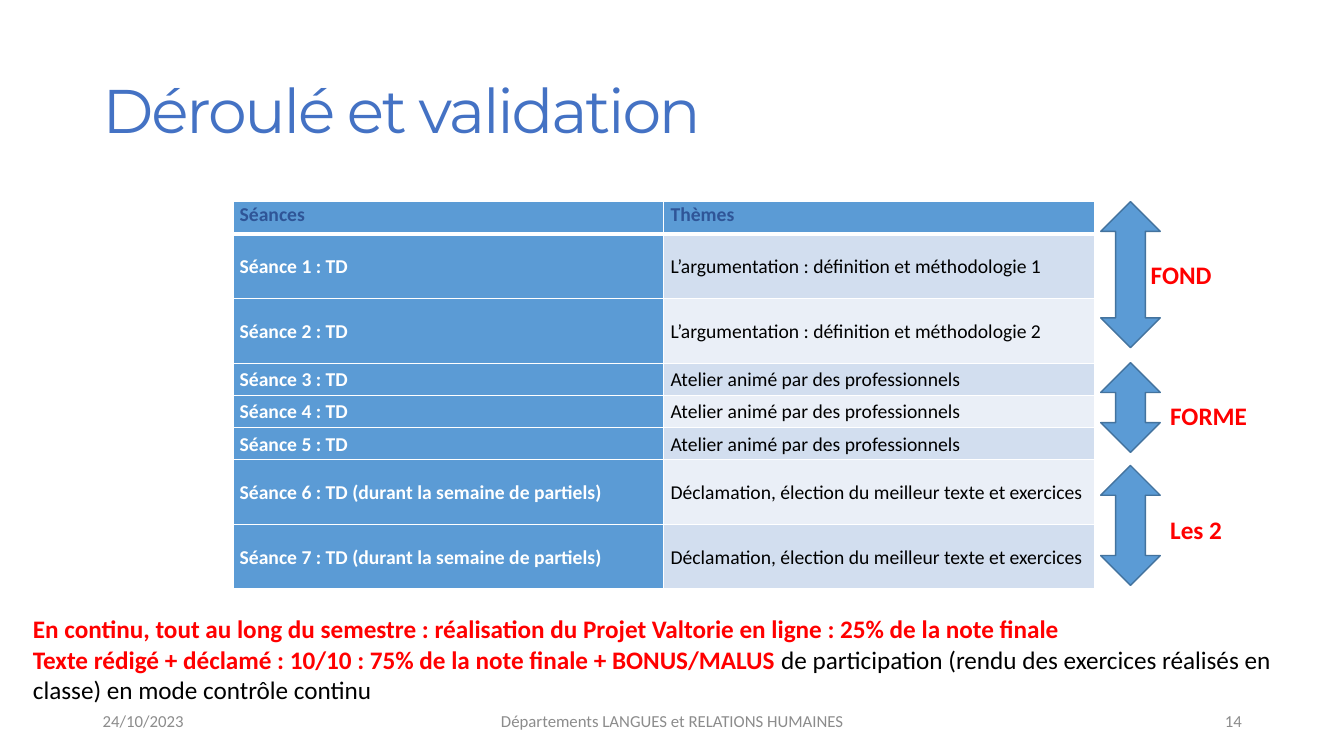
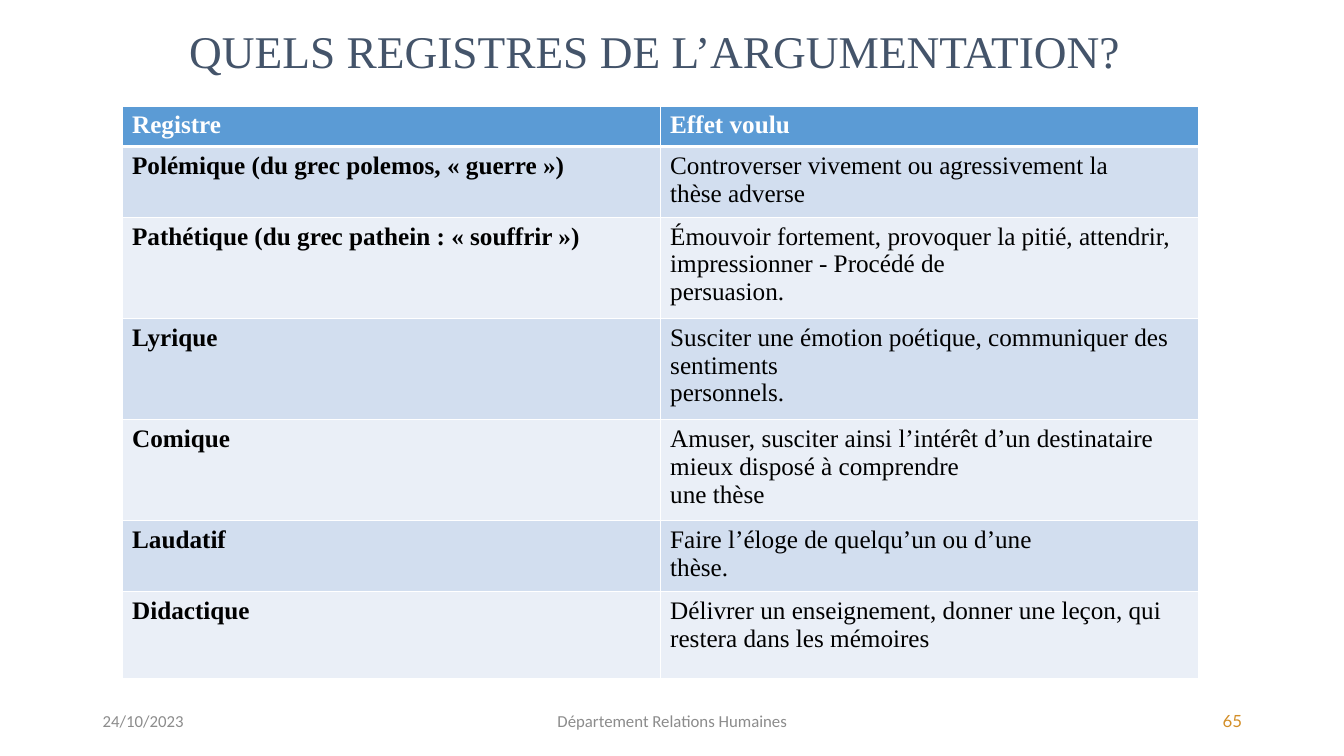
from dataclasses import dataclass

from lxml import etree
from pptx import Presentation
from pptx.dml.color import RGBColor
from pptx.enum import shapes, text
from pptx.oxml import ns
from pptx.util import Cm, Pt

# Shared colours and fonts
WHITE = RGBColor(0xFF, 0xFF, 0xFF)
BLACK = RGBColor(0x00, 0x00, 0x00)
RED = RGBColor(0xFF, 0x00, 0x00)
GREY = RGBColor(0x8C, 0x8C, 0x8C)
GOLD = RGBColor(0xD3, 0x8E, 0x27)
BLUE = RGBColor(0x5B, 0x9B, 0xD5)
BLUE_EDGE = RGBColor(0x43, 0x73, 0x9E)
BLUE_TITLE = RGBColor(0x44, 0x72, 0xC4)
BLUE_DARK = RGBColor(0x2F, 0x55, 0x97)
SLATE = RGBColor(0x44, 0x54, 0x6A)
BANDS = (RGBColor(0xD2, 0xDE, 0xEF), RGBColor(0xEA, 0xEF, 0xF7))
SANS = "Calibri"
SERIF = "Times New Roman"
LEFT, CENTER, RIGHT = (
    text.PP_ALIGN.LEFT, text.PP_ALIGN.CENTER, text.PP_ALIGN.RIGHT)
TOP, MIDDLE = text.MSO_ANCHOR.TOP, text.MSO_ANCHOR.MIDDLE


@dataclass
class Box:
    """A region of a slide, in centimetres."""
    left: float
    top: float
    width: float
    height: float

    def lengths(self):
        return [Cm(n) for n in (self.left, self.top, self.width, self.height)]


@dataclass
class Style:
    name: str
    size: float
    color: RGBColor
    bold: bool = False

    def apply(self, font):
        font.name, font.size, font.bold = self.name, Pt(self.size), self.bold
        font.color.rgb = self.color


FOOTER_BOX = Box(2.34, 17.65, 29.21, 1.02)
FOOTER_STYLE = Style(SANS, 12, GREY)
LABEL_STYLE = Style(SANS, 18, RED, True)
NOTE_STYLE = Style(SANS, 18, BLACK)


def add_text(slide, box, wording, style, align=LEFT, anchor=TOP):
    frame = slide.shapes.add_textbox(*box.lengths()).text_frame
    frame.word_wrap = True
    frame.vertical_anchor = anchor
    paragraph = frame.paragraphs[0]
    paragraph.text = wording
    paragraph.alignment = align
    style.apply(paragraph.font)
    return paragraph


def add_title(slide, box, wording, style, spacing=0):
    paragraph = add_text(slide, box, wording, style, anchor=MIDDLE)
    paragraph.line_spacing = 0.9
    if spacing:
        properties = paragraph.runs[0]._r.get_or_add_rPr()
        properties.set("spc", str(round(spacing * 100)))


def add_footer(slide, box, department, number, number_style=FOOTER_STYLE):
    """Date on the left, department in the middle, number on the right."""
    side, middle = 7.62, 11.43
    parts = (
        (0, side, "24/10/2023", FOOTER_STYLE, LEFT),
        ((box.width - middle) / 2, middle, department, FOOTER_STYLE, CENTER),
        (box.width - side, side, number, number_style, RIGHT),
    )
    for offset, width, wording, style, align in parts:
        part = Box(box.left + offset, box.top, width, box.height)
        add_text(slide, part, wording, style, align, MIDDLE)


def set_borders(cell, top=1, bottom=1):
    properties = cell._tc.get_or_add_tcPr()
    for side, points in (("L", 1), ("R", 1), ("T", top), ("B", bottom)):
        line = etree.SubElement(properties, ns.qn(f"a:ln{side}"), w=str(Pt(points)))
        fill = etree.SubElement(line, ns.qn("a:solidFill"))
        etree.SubElement(fill, ns.qn("a:srgbClr"), val=str(WHITE))


@dataclass
class TableLook:
    header: Style
    first: Style
    body: Style
    margin_x: float
    margin_y: float
    anchor: text.MSO_ANCHOR = TOP
    line_spacing: float = 1.0
    first_fill: RGBColor = None


def add_banded_table(slide, box, rows, heights, look):
    table = slide.shapes.add_table(len(rows), 2, *box.lengths()).table
    table.horz_banding = False
    for column in table.columns:
        column.width = Cm(box.width / 2)
    for i, (row, height) in enumerate(zip(rows, heights)):
        table.rows[i].height = Cm(height)
        for j, wording in enumerate(row):
            cell = table.cell(i, j)
            # The header is set off by a thicker rule
            set_borders(cell, top=3 if i == 1 else 1, bottom=3 if i == 0 else 1)
            if i == 0:
                fill, style = BLUE, look.header
            elif j == 0:
                fill, style = look.first_fill or BANDS[(i - 1) % 2], look.first
            else:
                fill, style = BANDS[(i - 1) % 2], look.body
            cell.fill.solid()
            cell.fill.fore_color.rgb = fill
            cell.margin_left = cell.margin_right = Cm(look.margin_x)
            cell.margin_top = cell.margin_bottom = Cm(look.margin_y)
            cell.vertical_anchor = look.anchor if i else TOP
            cell.text_frame.text = wording
            for paragraph in cell.text_frame.paragraphs:
                paragraph.line_spacing = look.line_spacing
                style.apply(paragraph.font)


def add_phases(slide, box):
    """Double arrows beside the table, each with its label."""
    phases = (  # arrow top and height, label offsets, label
        (0, 3.68, 1.01, 1.32, "FOND"),
        (4.06, 2.26, 1.5, 4.88, "FORME"),
        (6.65, 3.02, 1.5, 7.75, "Les 2"),
    )
    for top, height, label_left, label_top, label in phases:
        arrow_box = Box(box.left, box.top + top, 1.5, height)
        arrow = slide.shapes.add_shape(
            shapes.MSO_SHAPE.UP_DOWN_ARROW, *arrow_box.lengths())
        arrow.shadow.inherit = False
        arrow.fill.solid()
        arrow.fill.fore_color.rgb = BLUE
        arrow.line.color.rgb = BLUE_EDGE
        arrow.line.width = Pt(1)
        label_box = Box(box.left + label_left, box.top + label_top,
                        box.width - label_left, 1.02)
        add_text(slide, label_box, label, LABEL_STYLE)


def add_grading_note(slide, box):
    first = add_text(
        slide, box,
        "En continu, tout au long du semestre : réalisation du Projet Valtorie "
        "en ligne : 25% de la note finale", LABEL_STYLE)
    second = first._parent.add_paragraph()
    second.font.name, second.font.size = SANS, Pt(18)
    for wording, style in (
        ("Texte rédigé + déclamé : 10/10 : 75% de la note finale + BONUS/MALUS ",
         LABEL_STYLE),
        ("de participation (rendu des exercices réalisés en classe) "
         "en mode contrôle continu", NOTE_STYLE),
    ):
        run = second.add_run()
        run.text = wording
        style.apply(run.font)


def build_schedule(slide):
    add_title(slide, Box(2.34, 1.02, 29.21, 3.68), "Déroulé et validation",
              Style("Montserrat", 44, BLUE_TITLE), spacing=-1.6)
    argument = "L’argumentation : définition et méthodologie"
    workshop = "Atelier animé par des professionnels"
    finale = "Déclamation, élection du meilleur texte et exercices"
    exams = " (durant la semaine de partiels)"
    themes = [f"{argument} 1", f"{argument} 2"] + [workshop] * 3 + [finale] * 2
    rows = [("Séances", "Thèmes")] + [
        (f"Séance {n} : TD" + (exams if theme == finale else ""), theme)
        for n, theme in enumerate(themes, 1)]
    short, tall = 0.81, 1.63
    heights = [short] + [short if theme == workshop else tall for theme in themes]
    look = TableLook(
        Style(SANS, 14, BLUE_DARK, True), Style(SANS, 14, WHITE, True),
        Style(SANS, 14, BLACK), 0.17, 0, MIDDLE, 1.07, BLUE)
    add_banded_table(slide, Box(5.87, 5.08, 21.72, sum(heights)), rows, heights, look)
    add_phases(slide, Box(27.74, 5.08, 4.5, 9.67))
    add_grading_note(slide, Box(0.58, 15.34, 32.54, 2.57))
    add_footer(slide, FOOTER_BOX, "Départements LANGUES et RELATIONS HUMAINES", "14")


def build_registers(slide):
    add_title(slide, Box(4.52, 0.28, 24.82, 2.16),
              "QUELS REGISTRES DE L’ARGUMENTATION?", Style(SERIF, 32.4, SLATE))
    rows = [
        ("Registre", "Effet voulu"),
        ("Polémique (du grec polemos, « guerre »)",
         "Controverser vivement ou agressivement la\nthèse adverse"),
        ("Pathétique (du grec pathein : « souffrir »)",
         "Émouvoir fortement, provoquer la pitié, attendrir, "
         "impressionner - Procédé de\npersuasion."),
        ("Lyrique",
         "Susciter une émotion poétique, communiquer des sentiments\npersonnels."),
        ("Comique",
         "Amuser, susciter ainsi l’intérêt d’un destinataire "
         "mieux disposé à comprendre\nune thèse"),
        ("Laudatif", "Faire l’éloge de quelqu’un ou d’une\nthèse."),
        ("Didactique",
         "Délivrer un enseignement, donner une leçon, qui restera dans les mémoires"),
    ]
    heights = [0.96, 1.66, 2.38, 2.38, 2.38, 1.66, 2.2]
    look = TableLook(
        Style(SERIF, 18, WHITE, True), Style(SERIF, 18, BLACK, True),
        Style(SERIF, 18, BLACK), 0.25, 0.13)
    add_banded_table(slide, Box(3.08, 2.67, 27.12, sum(heights)), rows, heights, look)
    add_footer(slide, FOOTER_BOX, "Département Relations Humaines", "65",
               Style("Lato", 12, GOLD))


def main():
    presentation = Presentation()
    presentation.slide_width, presentation.slide_height = Cm(33.87), Cm(19.05)
    blank = presentation.slide_layouts[6]
    for build in (build_schedule, build_registers):
        build(presentation.slides.add_slide(blank))
    presentation.save("out.pptx")


if __name__ == "__main__":
    main()
